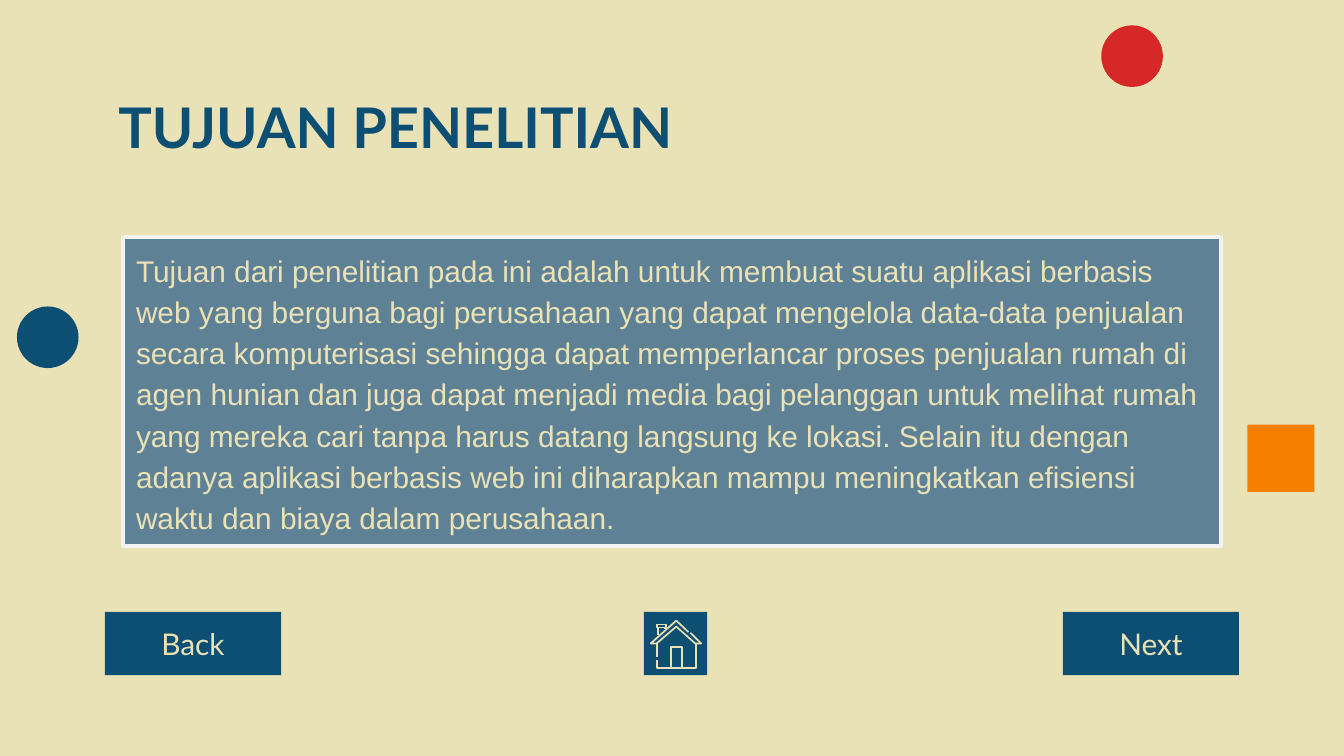
from lxml import etree
from pptx import Presentation
from pptx.dml.color import RGBColor
from pptx.enum import shapes as s, text as t
from pptx.util import Pt

THEME = {
    "sand": "EAE2B7", "navy": "0C4F72", "red": "D62828", "orange": "F77F00",
    "slate": "5F8195", "pale": "F2F2F2",
    "head": "Lato", "text": "Arial", "big": 30, "base": 16,
}
RECT, OVAL = s.MSO_SHAPE.RECTANGLE, s.MSO_SHAPE.OVAL

TITLE = "TUJUAN PENELITIAN"
BODY = (
    "Tujuan dari penelitian pada ini adalah untuk membuat suatu aplikasi berbasis "
    "web yang berguna bagi perusahaan yang dapat mengelola data-data penjualan "
    "secara komputerisasi sehingga dapat memperlancar proses penjualan rumah di "
    "agen hunian dan juga dapat menjadi media bagi pelanggan untuk melihat rumah "
    "yang mereka cari tanpa harus datang langsung ke lokasi. Selain itu dengan "
    "adanya aplikasi berbasis web ini diharapkan mampu meningkatkan efisiensi "
    "waktu dan biaya dalam perusahaan."
)
DECOR = [
    (RECT, (668.2, 227.5, 36, 36), "orange"),
    (OVAL, (9.1, 164.2, 33, 33), "navy"),
    (OVAL, (590, 13.6, 33, 33), "red"),
]
HOUSE = [
    [(23.8, 10.8), (17.3, 4.7), (3.6, 16.9), (6.8, 16.9),
     (17.3, 7.9), (27.4, 16.9), (30.6, 16.9), (24.8, 11.2)],
    [(6.8, 16.9), (6.8, 24.1)],
    [(6.8, 25.9), (6.8, 29.9), (27.7, 29.9), (27.7, 16.9)],
    [(14.4, 29.9), (14.4, 18.7), (20.5, 18.7), (20.5, 29.9)],
    [(6.8, 6.8), (11.9, 6.8), (11.9, 8.3), (6.8, 8.3), (6.8, 6.8)],
    [(7.6, 8.3), (7.6, 12.6)],
    [(11.2, 8.3), (11.2, 9.4)],
]
WIDE, HIGH = 720, 405
EDGE, ROW, BTN, TALL = 56.2, 327.8, 94.4, 33.9


def tint(name):
    return RGBColor.from_string(THEME[name])


def paint(fill, name):
    fill.solid()
    fill.fore_color.rgb = tint(name)


def add(slide, kind, box, color):
    shape = slide.shapes.add_shape(kind, *map(Pt, box))
    shape.shadow.inherit = False
    paint(shape.fill, color)
    shape.line.fill.background()
    return shape


def write(shape, words, face, size, color, align, anchor, bold=False):
    frame = shape.text_frame
    frame.text = words
    frame.word_wrap = True
    frame.auto_size = t.MSO_AUTO_SIZE.NONE
    frame.vertical_anchor = anchor
    frame.margin_left = frame.margin_right = Pt(7.2)
    frame.margin_top = frame.margin_bottom = Pt(7.2)
    para = frame.paragraphs[0]
    para.alignment = align
    font = para.runs[0].font
    font.name, font.size, font.bold = THEME[face], Pt(THEME[size]), bold
    font.color.rgb = tint(color)
    return para


def draw(slide, left, top):
    def place(point):
        return Pt(left + point[0]), Pt(top + point[1])

    pen = None
    for stroke in HOUSE:
        first, *rest = map(place, stroke)
        if pen is None:
            pen = slide.shapes.build_freeform(*first)
        else:
            pen.move_to(*first)
        pen.add_line_segments(rest, close=False)
    icon = pen.convert_to_shape()
    icon.shadow.inherit = False
    icon.fill.background()
    icon.line.width = Pt(0.9)
    paint(icon.line.fill, "sand")
    etree.SubElement(icon.line._get_or_add_ln(), "{%s}round" % icon.element.nsmap["a"])


def main():
    deck = Presentation()
    deck.slide_width, deck.slide_height = Pt(WIDE), Pt(HIGH)
    slide = deck.slides.add_slide(deck.slide_layouts[5])
    paint(slide.background.fill, "sand")
    left, mid = t.PP_ALIGN.LEFT, t.PP_ALIGN.CENTER
    upper, centre = t.MSO_ANCHOR.TOP, t.MSO_ANCHOR.MIDDLE

    title = slide.shapes.title
    title.left, title.top = Pt(EDGE), Pt(42.5)
    title.width, title.height = Pt(WIDE - 2 * EDGE), Pt(45.4)
    write(title, TITLE, "head", "big", "navy", left, upper, True)

    for item in DECOR:
        add(slide, *item)

    for label, x in (("Back", EDGE), ("Next", WIDE - EDGE - BTN)):
        btn = add(slide, RECT, (x, ROW, BTN, TALL), "navy")
        write(btn, label, "head", "base", "sand", mid, centre)

    home = 345
    add(slide, RECT, (home, ROW, TALL, TALL), "navy")
    draw(slide, home, ROW)

    panel = add(slide, RECT, (65.8, 126.9, 588.4, 165.6), "slate")
    paint(panel.line.fill, "pale")
    panel.line.width = Pt(2.25)
    para = write(panel, BODY, "text", "base", "sand", left, centre)
    para.line_spacing = 1.15

    deck.save("out.pptx")


if __name__ == "__main__":
    main()
